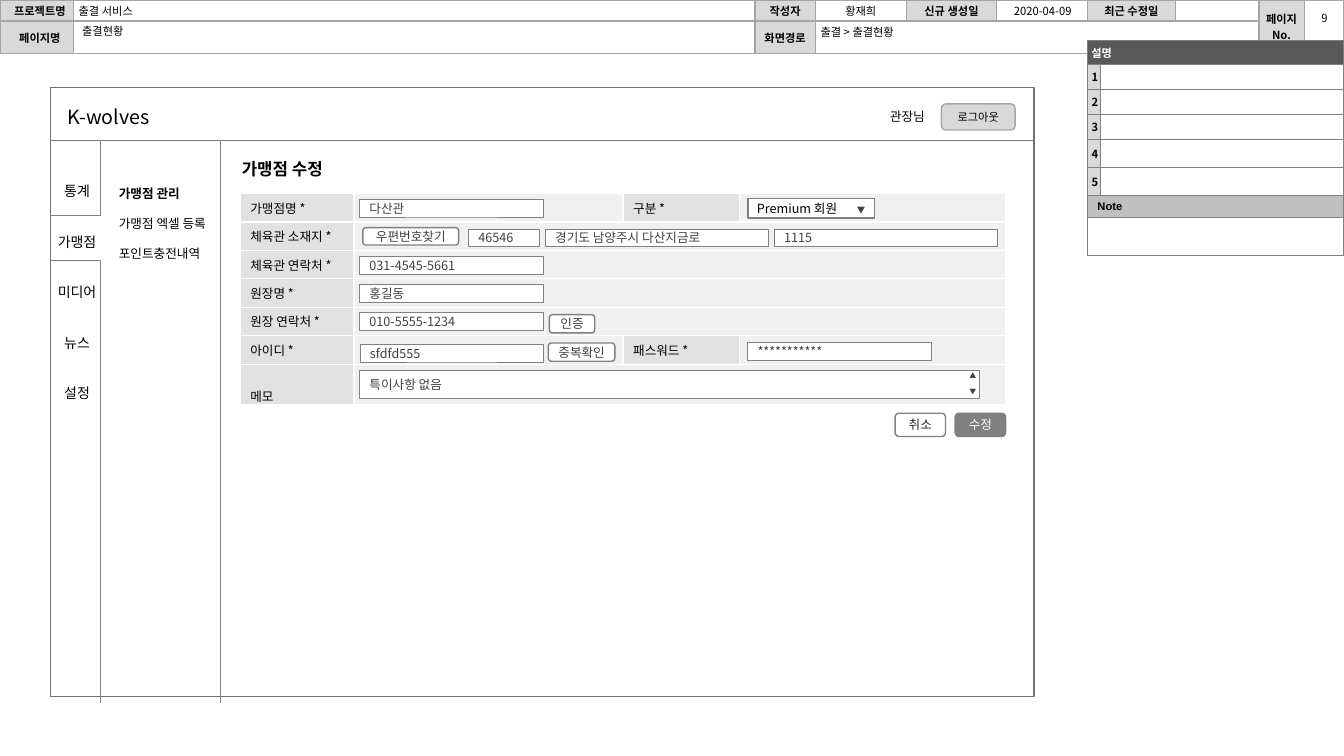
"""Build the branch edit screen of an attendance service storyboard."""
import pptx
import pptx.dml.color
import pptx.enum.shapes
import pptx.enum.text
import pptx.oxml.ns
import pptx.util
from lxml import etree

Pt = pptx.util.Pt
qn = pptx.oxml.ns.qn
rgb = pptx.dml.color.RGBColor.from_string
forms = pptx.enum.shapes.MSO_SHAPE
face = "Noto Sans CJK KR"
aligns = {"l": pptx.enum.text.PP_ALIGN.LEFT, "c": pptx.enum.text.PP_ALIGN.CENTER}
anchors = {"t": pptx.enum.text.MSO_ANCHOR.TOP, "m": pptx.enum.text.MSO_ANCHOR.MIDDLE,
           "b": pptx.enum.text.MSO_ANCHOR.BOTTOM}


def write(host, text, size, colour="000000", bold=False, align="l", anchor="t",
          inset=(7.2, 3.6, 7.2, 3.6), font=face, lead=None, gap=0):
    """Fill a table cell or a text frame with styled text."""
    frame = getattr(host, "text_frame", host)
    frame.text = text
    frame.word_wrap = True
    host.vertical_anchor = anchors[anchor]
    host.margin_left, host.margin_top, host.margin_right, host.margin_bottom = map(Pt, inset)
    for rank, para in enumerate(frame.paragraphs):
        para.alignment = aligns[align]
        if lead:
            para.line_spacing = lead
        if gap and rank:
            para.space_before = Pt(gap)
        for run in para.runs:
            run.font.size = Pt(size)
            run.font.bold = bold
            run.font.name = font
            run.font.color.rgb = rgb(colour)
            etree.SubElement(run.font._element, qn("a:ea"), typeface=font)
        if not para.runs:
            etree.SubElement(para._p, qn("a:endParaRPr"), sz=str(size * 100))


deck = pptx.Presentation()
deck.slide_width, deck.slide_height = Pt(960), Pt(540)
slide = deck.slides.add_slide(deck.slide_layouts[6])
shapes = slide.shapes

looks = {
    "H": ("D9D9D9", dict(size=8, bold=True, align="c", anchor="m", inset=(0, 0, 0, 0))),
    "I": ("D9D9D9", dict(size=8, bold=True, align="c", anchor="m", inset=(4.5, 0, 0, 0))),
    "V": ("FFFFFF", dict(size=8, anchor="m", inset=(3.6, 0, 0, 0))),
    "C": ("FFFFFF", dict(size=8, align="c", anchor="m", inset=(0, 0, 0, 0))),
    "K": ("E1E1E1", dict(size=9)),
    "M": ("E1E1E1", dict(size=9, anchor="b", inset=(7.2, 0, 7.2, 0))),
    "F": ("F0F0F0", dict(size=9)),
    "T": ("595959", dict(size=8, colour="FFFFFF", bold=True, anchor="m", inset=(2.9, 2, 7.2, 2))),
    "D": ("D9D9D9", dict(size=8, bold=True, align="c", anchor="m", inset=(2.9, 2, 1.5, 2))),
    "N": ("BFBFBF", dict(size=8, bold=True, anchor="m", inset=(7.2, 2, 2.9, 2), font="Arial")),
}
head = [["프로젝트명", "출결 서비스", "작성자", "황재희", "신규 생성일", "", "최근 수정일", "",
         "페이지 No.", ""],
        ["페이지명", "", "화면경로"] + [""] * 7]
sheet = [["가맹점명 *", "", "구분 *", ""]]
sheet += [[name, "", "", ""] for name in
          ("체육관 소재지 *", "체육관 연락처 *", "원장명 *", "원장 연락처 *")]
sheet += [["아이디 *", "", "패스워드 *", ""], ["메모", "", "", ""]]
notes = [["설명", ""]] + [[str(num), ""] for num in range(1, 6)] + [["Note", ""], ["", ""]]
tables = [
    (0, 0, [52.6, 486.7, 43.2, 64.8, 64.8, 64.8, 62.6, 59.8, 32.4, 28.3], [15, 23.2], "A5A5A5",
     head, ["IVHCHCHVHC", "IVHVVVVVHC"], [(0, 8, 1, 8), (0, 9, 1, 9), (1, 3, 1, 7)]),
    (171.6, 138.3, [81.2, 192.3, 83.4, 189.6], [20.3] * 6 + [29], "FFFFFF",
     sheet, ["KFKF"] + ["KFFF"] * 4 + ["KFKF", "MFFF"],
     [(row, 1, row, 3) for row in (1, 2, 3, 4, 6)]),
    (776.7, 28.8, [9.3, 174], [17.2, 17.9, 17.9, 17.9, 20, 20, 15.8, 27.2], "808080",
     notes, ["TT"] + ["DV"] * 5 + ["NN", "VV"], [(row, 0, row, 1) for row in (0, 6, 7)]),
]
for left, top, wides, talls, edge, texts, kinds, spans in tables:
    graph = shapes.add_table(len(talls), len(wides), Pt(left), Pt(top),
                             Pt(sum(wides)), Pt(sum(talls)))
    table = graph.table
    for col, wide in zip(table.columns, wides):
        col.width = Pt(wide)
    for row, tall in zip(table.rows, talls):
        row.height = Pt(tall)
    for r, line in enumerate(texts):
        for c, text in enumerate(line):
            cell = table.cell(r, c)
            fill, look = looks[kinds[r][c]]
            write(cell, text, **look)
            props = cell._tc.get_or_add_tcPr()
            for side in ("lnL", "lnR", "lnT", "lnB"):
                rule = etree.SubElement(props, qn("a:" + side), w="12700")
                solid = etree.SubElement(rule, qn("a:solidFill"))
                etree.SubElement(solid, qn("a:srgbClr"), val=edge)
            cell.fill.solid()
            cell.fill.fore_color.rgb = rgb(fill)
    for r, c, last, end in spans:
        table.cell(r, c).merge(table.cell(last, end))

screen = shapes.add_shape(forms.RECTANGLE, Pt(36), Pt(62.7), Pt(702.7), Pt(434.9))
screen.shadow.inherit = False
screen.fill.background()
screen.line.color.rgb = rgb("767171")
screen.line.width = Pt(1)

for x, y, end, base, tint in [
        (72, 100, 72, 502, "808080"), (157.7, 100, 157.7, 502, "808080"),
        (36, 100, 738.7, 100, "808080"), (72, 154, 36, 154, "808080"),
        (72.4, 185.7, 36.7, 185.7, "808080"), (72, 154, 72, 185.7, "FFFFFF")]:
    line = shapes.add_connector(pptx.enum.shapes.MSO_CONNECTOR.STRAIGHT,
                                Pt(x), Pt(y), Pt(end), Pt(base))
    line.line.color.rgb = rgb(tint)
    line.line.width = Pt(0.5)
    etree.SubElement(line._element.spPr, qn("a:effectLst"))

slim = (2.9, 2.9, 2.9, 2.9)
flat = (0, 2.9, 0, 2.9)
labels = [
    ("통계\n가맹점\n미디어\n뉴스\n설정", 30.2, 121, 49.7, 168.5,
     dict(size=10, align="c", lead=1.5, gap=18)),
    ("출결현황", 55.8, 14.6, 478, 15.1, dict(size=8, inset=slim)),
    ("2020-04-09", 720, 0, 49.7, 13.7, dict(size=8, align="c", inset=flat)),
    ("9", 932.4, 0.7, 27.4, 20.9, dict(size=8, align="c", inset=(0, 8.6, 0, 2.9))),
    ("출결 > 출결현황", 583.2, 15.3, 311, 15.1, dict(size=8, inset=slim)),
    ("K-wolves", 41, 71.3, 108, 24.5, dict(size=14)),
    ("가맹점 관리\n가맹점 엑셀 등록\n포인트충전내역", 77.8, 118.1, 94.3, 69.1,
     dict(size=9, lead=2.0)),
    ("가맹점 수정", 165.6, 109.6, 90, 21.6, dict(size=12, bold=True)),
    ("관장님", 628.6, 74.2, 43, 18, dict(size=9)),
    ("▲\n▼", 685.4, 262, 22, 25.2, dict(size=5, colour="404040", gap=5)),
]

field = (forms.RECTANGLE, "FFFFFF", "808080", 0.25,
         dict(size=9, colour="404040", anchor="m", inset=(7.2, 0, 7.2, 0)))
mid = dict(size=9, align="c", anchor="m", inset=(2.9, 0, 2.9, 0))
curve = forms.ROUNDED_RECTANGLE
press = (curve, "FFFFFF", "808080", 1, dict(mid, colour="404040"))
stop = (curve, "FFFFFF", "808080", 1, dict(mid, colour="262626"))
save = (curve, "808080", "808080", 1, dict(mid, colour="FFFFFF"))
leave = (curve, "D9D9D9", "A6A6A6", 1, dict(mid, size=8))
pick = (forms.RECTANGLE, "FFFFFF", "808080", 1,
        dict(size=9, anchor="m", inset=(6.5, 0, 0, 0)))
parts = [
    ("로그아웃", 672.5, 74.2, 52.6, 18.7, leave),
    ("다산관", 256.8, 142.4, 131, 12.6, field),
    ("특이사항 없음", 256.8, 264.3, 442.8, 20.2, field),
    ("수정", 682.3, 295.2, 36, 16.6, save),
    ("취소", 639.4, 295.2, 36, 16.6, stop),
    ("031-4545-5661", 256.8, 183.3, 131, 12.6, field),
    ("우편번호찾기", 259.2, 162.6, 68.4, 12.4, press),
    ("경기도 남양주시 다산지금로", 389.5, 163.6, 159.1, 12.6, field),
    ("1115", 553, 163.6, 159.1, 12.6, field),
    ("46546", 334.6, 163.6, 50.8, 12.6, field),
    ("홍길동", 256.8, 203.2, 131, 12.6, field),
    ("010-5555-1234", 256.8, 223.2, 131, 12.6, field),
    ("Premium 회원\t", 534.2, 142, 90.7, 13.7, pick),
    ("sfdfd555", 257.2, 246, 131, 12.6, field),
    ("***********", 534, 244.6, 131, 12.6, field),
    ("중복확인", 391.7, 245, 47.5, 13, press),
    ("인증", 392.4, 224.8, 32.4, 13, press),
]
for text, x, y, wide, tall, (form, fill, edge, thick, look) in parts:
    part = shapes.add_shape(form, Pt(x), Pt(y), Pt(wide), Pt(tall))
    part.shadow.inherit = False
    part.fill.solid()
    part.fill.fore_color.rgb = rgb(fill)
    part.line.color.rgb = rgb(edge)
    part.line.width = Pt(thick)
    write(part.text_frame, text, **look)
    if text.endswith("\t"):
        para = part.text_frame.paragraphs[0]
        tabs = etree.SubElement(para._p.get_or_add_pPr(), qn("a:tabLst"))
        etree.SubElement(tabs, qn("a:tab"), pos=str(Pt(71.5)), algn="l")
        arrow = para.add_run()
        arrow.text = "▼"
        arrow.font.size = Pt(6)
        arrow.font.name = face
        arrow.font.color.rgb = rgb("404040")

for text, x, y, wide, tall, look in labels:
    label = shapes.add_textbox(Pt(x), Pt(y), Pt(wide), Pt(tall))
    write(label.text_frame, text, **look)
    if text.startswith("가맹점 관리"):
        label.text_frame.paragraphs[0].runs[0].font.bold = True

deck.save("out.pptx")
